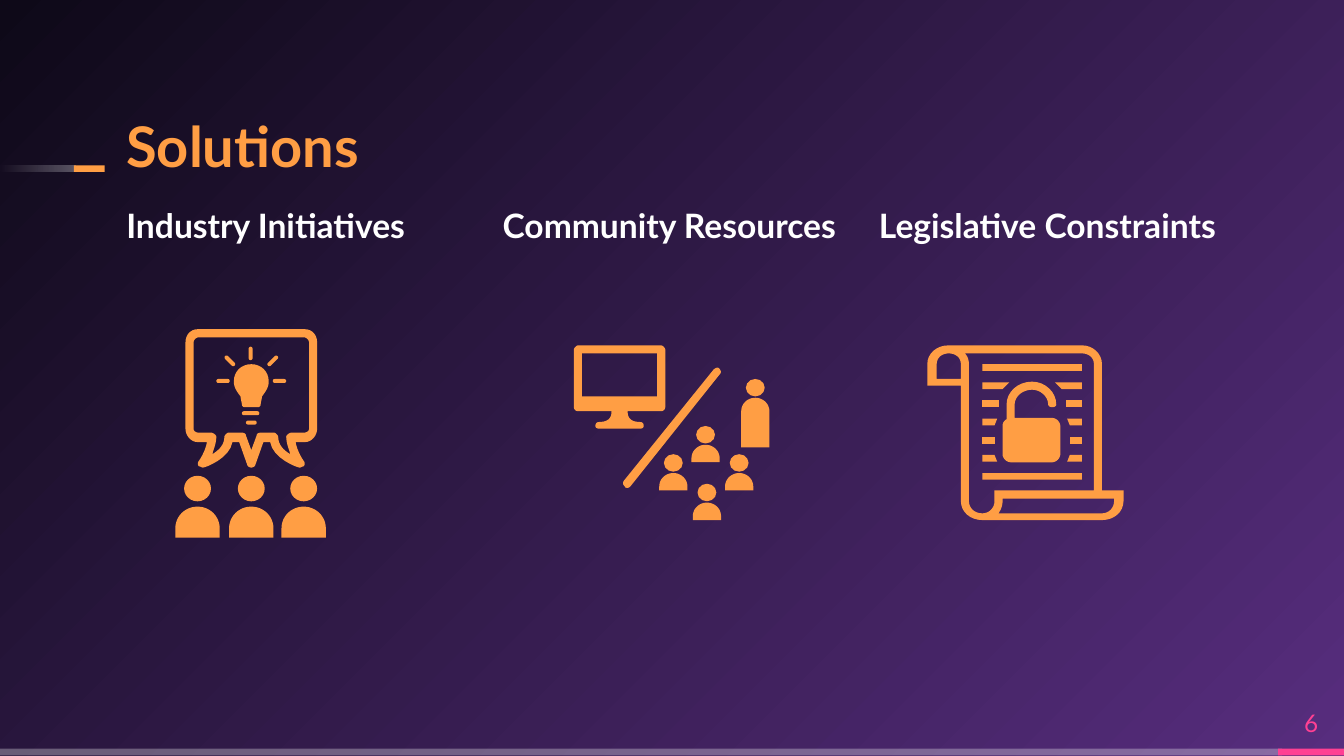
from math import cos, pi, sin

from lxml.etree import SubElement
from pptx import Presentation
from pptx.dml.color import RGBColor
from pptx.enum.shapes import MSO_SHAPE
from pptx.enum.text import MSO_ANCHOR, MSO_AUTO_SIZE, PP_ALIGN
from pptx.oxml.ns import qn
from pptx.util import Inches, Pt

COLORS = {"orange": "FF9E44", "pink": "FF4093", "white": "FFFFFF",
          "violet": "572D7E", "night": "0E0918"}
FORMATS = {
    "title": {"size": Pt(30), "bold": True, "color": "orange"},
    "heading": {"size": Pt(18), "bold": True, "color": "white"},
    "number": {"size": Pt(13), "bold": False, "color": "pink"},
}
HEADINGS = ["Industry Initiatives", "Community Resources", "Legislative Constraints"]

BUBBLE = """
M 1.87 2.45 L 1.47 2.45 C 1.42 2.45 1.38 2.49 1.38 2.55 L 1.38 3.19
C 1.38 3.24 1.42 3.29 1.47 3.29 L 1.54 3.29 C 1.53 3.36 1.48 3.43 1.48 3.43
C 1.47 3.44 1.47 3.46 1.48 3.47 C 1.49 3.47 1.5 3.48 1.51 3.48
C 1.53 3.48 1.71 3.41 1.73 3.29 L 1.78 3.29 L 1.84 3.46
C 1.84 3.47 1.86 3.48 1.87 3.48
M 1.87 2.51 L 1.48 2.51 C 1.46 2.51 1.44 2.53 1.44 2.55 L 1.44 3.19
C 1.44 3.21 1.46 3.22 1.48 3.22 L 1.57 3.22 C 1.59 3.22 1.61 3.24 1.61 3.25
C 1.61 3.3 1.59 3.34 1.58 3.38 C 1.63 3.35 1.67 3.31 1.67 3.25
C 1.67 3.24 1.69 3.22 1.7 3.22 L 1.8 3.22 C 1.82 3.22 1.83 3.23 1.83 3.24
L 1.87 3.35"""
BULB = """
M 1.87 2.71 C 1.8 2.71 1.74 2.76 1.74 2.84 C 1.74 2.88 1.76 2.91 1.79 2.95
C 1.79 2.96 1.8 3 1.8 3.01 C 1.8 3.02 1.81 3.03 1.82 3.03 L 1.87 3.03"""
MONITOR = """
M 4.61 2.57 L 4.3 2.57 C 4.29 2.57 4.27 2.59 4.27 2.6 L 4.27 3.03
C 4.27 3.05 4.29 3.06 4.3 3.06 L 4.55 3.06 C 4.55 3.08 4.55 3.14 4.46 3.14
C 4.44 3.14 4.43 3.15 4.43 3.17 C 4.43 3.18 4.44 3.19 4.46 3.19 L 4.61 3.19
M 4.61 2.63 L 4.33 2.63 L 4.33 2.95 L 4.61 2.95"""
SLASH = """
M 4.67 3.63 C 4.66 3.63 4.65 3.63 4.65 3.62 C 4.64 3.61 4.63 3.6 4.64 3.58
L 5.31 2.75 C 5.32 2.74 5.34 2.73 5.35 2.74 C 5.36 2.75 5.37 2.77 5.36 2.78
L 4.69 3.62 C 4.69 3.62 4.68 3.63 4.67 3.63"""
LOCK = """
M 7.83 3.11 L 7.55 3.11 L 7.55 3.01 C 7.55 2.95 7.61 2.9 7.68 2.9
C 7.74 2.9 7.8 2.95 7.8 3.01 C 7.8 3.02 7.81 3.03 7.83 3.03
C 7.85 3.03 7.86 3.02 7.86 3.01 C 7.86 2.92 7.78 2.84 7.68 2.84
C 7.57 2.84 7.49 2.92 7.49 3.01 L 7.49 3.12 C 7.47 3.13 7.46 3.15 7.46 3.17
L 7.46 3.38 C 7.46 3.41 7.49 3.44 7.52 3.44 L 7.83 3.44
C 7.86 3.44 7.89 3.41 7.89 3.38 L 7.89 3.17 C 7.89 3.14 7.86 3.11 7.83 3.11"""
SCROLL = """
M 8.2 3.65 L 8.2 2.71 C 8.2 2.63 8.13 2.57 8.05 2.57 L 7.06 2.57
C 6.97 2.57 6.9 2.63 6.9 2.71 L 6.9 2.87 L 7.15 2.87 L 7.15 3.73
C 7.15 3.81 7.22 3.87 7.31 3.87 L 8.2 3.87 C 8.29 3.87 8.36 3.81 8.36 3.73
L 8.36 3.65
M 6.97 2.82 L 6.97 2.71 C 6.97 2.66 7.01 2.63 7.06 2.63
C 7.11 2.63 7.15 2.66 7.15 2.71 L 7.15 2.82
M 7.4 3.73 C 7.4 3.78 7.36 3.82 7.31 3.82 C 7.25 3.82 7.21 3.78 7.21 3.73
L 7.21 2.71 C 7.21 2.68 7.2 2.65 7.18 2.63 L 8.05 2.63
C 8.1 2.63 8.14 2.66 8.14 2.71 L 8.14 3.65 L 7.4 3.65
M 8.29 3.73 C 8.29 3.78 8.25 3.82 8.2 3.82 L 7.43 3.82
C 7.45 3.79 7.46 3.76 7.46 3.73 L 7.46 3.71 L 8.29 3.71"""


def rgb(name):
    return RGBColor.from_string(COLORS[name])


def set_alpha(element, *percents):
    for clr, percent in zip(element.iter(qn("a:srgbClr")), percents):
        SubElement(clr, qn("a:alpha")).set("val", str(percent * 1000))


def set_stops(fill, *names):
    fill.gradient()
    for stop, name in zip(fill.gradient_stops, names):
        stop.color.rgb = rgb(name)


def paint(sp, color="orange"):
    sp.shadow.inherit = False
    sp.fill.solid()
    sp.fill.fore_color.rgb = rgb(color)
    sp.line.fill.background()
    return sp


def add_preset(shapes, kind, box, color="orange"):
    return paint(shapes.add_shape(kind, *map(Inches, box)), color)


def add_pill(shapes, *box, rotation=0):
    sp = add_preset(shapes, MSO_SHAPE.ROUNDED_RECTANGLE, box)
    sp.adjustments[0] = 0.5
    sp.rotation = rotation


def add_outline(shapes, contours):
    builder = None
    for contour in contours:
        points = [(Inches(x), Inches(y)) for x, y in contour]
        if builder is None:
            builder = shapes.build_freeform(*points[0])
        else:
            builder.move_to(*points[0])
        builder.add_line_segments(points[1:], close=True)
    paint(builder.convert_to_shape())


def bezier(a, b, c, d, steps=8):
    for i in range(1, steps + 1):
        t = i / steps
        u = 1 - t
        yield tuple(u**3 * p + 3 * u * u * t * q + 3 * u * t * t * r + t**3 * s
                    for p, q, r, s in zip(a, b, c, d))


def read_contours(text):
    contours, values, command = [], [], ""
    for token in text.split():
        if token in "MLC":
            command = token
            continue
        values.append(float(token))
        if len(values) < (6 if command == "C" else 2):
            continue
        points = list(zip(values[::2], values[1::2]))
        if command == "M":
            contours.append(points)
        elif command == "L":
            contours[-1] += points
        else:
            contours[-1] += bezier(contours[-1][-1], *points)
        values = []
    return contours


def mirror(points, axis):
    return [(2 * axis - x, y) for x, y in reversed(points)]


def add_symmetric(shapes, text, axis):
    add_outline(shapes, [c + mirror(c, axis) for c in read_contours(text)])


def add_person(shapes, center, top, head, gap, body, dome):
    head_w, head_h = head
    body_w, body_h = body
    add_preset(shapes, MSO_SHAPE.OVAL, (center - head_w / 2, top, head_w, head_h))
    shoulder = top + gap + dome
    bottom = top + gap + body_h
    arc = [(center - body_w / 2 * cos(pi * i / 24), shoulder - dome * sin(pi * i / 24))
           for i in range(25)]
    add_outline(shapes, [arc + [(center + body_w / 2, bottom), (center - body_w / 2, bottom)]])


def add_audience_icon(shapes):
    for center in (1.47, 1.87, 2.26):
        add_person(shapes, center, 3.54, (0.2, 0.19), 0.23, (0.33, 0.23), 0.16)
    add_symmetric(shapes, BUBBLE, 1.87)
    add_symmetric(shapes, BULB, 1.87)
    add_pill(shapes, 1.8, 3.06, 0.13, 0.03)
    add_pill(shapes, 1.83, 3.13, 0.08, 0.03)
    add_pill(shapes, 1.85, 2.58, 0.03, 0.1)
    for left, slant_left, rotation in ((1.61, 1.66, 45), (2.03, 1.98, -45)):
        add_pill(shapes, left, 2.82, 0.1, 0.03)
        add_pill(shapes, slant_left, 2.67, 0.1, 0.03, rotation=rotation)


def add_community_icon(shapes):
    for center, top in ((5.01, 3.38), (5.5, 3.38), (5.26, 3.6), (5.25, 3.17)):
        add_person(shapes, center, top, (0.14, 0.13), 0.14, (0.21, 0.13), 0.1)
    add_person(shapes, 5.62, 2.82, (0.14, 0.13), 0.14, (0.21, 0.37), 0.1)
    add_outline(shapes, read_contours(SLASH))
    add_symmetric(shapes, MONITOR, 4.61)


def add_law_icon(shapes):
    add_outline(shapes, read_contours(LOCK))
    add_outline(shapes, read_contours(SCROLL))
    for top in (2.71, 3.52):
        add_preset(shapes, MSO_SHAPE.RECTANGLE, (7.31, top, 0.74, 0.05))
    ends = [(7.51, 7.46), (7.43, 7.43), (7.42, 7.4), (7.4, 7.4), (7.4, 7.42)]
    for i, (upper, lower) in enumerate(ends, 1):
        top = 2.71 + 0.81 / 6 * i
        bar = [(7.31, top), (upper, top), (lower, top + 0.05), (7.31, top + 0.05)]
        add_outline(shapes, [bar])
        add_outline(shapes, [mirror(bar, 7.68)])


def write_text(sp, box, text, style, anchor=MSO_ANCHOR.TOP, align=PP_ALIGN.LEFT, spacing=1.0):
    sp.left, sp.top, sp.width, sp.height = map(Inches, box)
    tf = sp.text_frame
    frame = {"word_wrap": True, "auto_size": MSO_AUTO_SIZE.NONE, "vertical_anchor": anchor,
             "margin_left": 0, "margin_top": 0, "margin_right": 0, "margin_bottom": 0}
    for name, value in frame.items():
        setattr(tf, name, value)
    p = tf.paragraphs[0]
    p.alignment, p.line_spacing = align, spacing
    r = p.add_run()
    r.text = text
    fmt = FORMATS[style]
    for name, value in {"name": "Lato", "size": fmt["size"], "bold": fmt["bold"]}.items():
        setattr(r.font, name, value)
    r.font.color.rgb = rgb(fmt["color"])


def add_background(s):
    set_stops(s.background.fill, "violet", "night")
    grad = next(s.element.iter(qn("a:gradFill")))
    grad.remove(grad.find(qn("a:lin")))
    radial = SubElement(grad, qn("a:path"), path="circle")
    SubElement(radial, qn("a:fillToRect"), l="100000", t="100000")


def add_decor(shapes):
    rect = MSO_SHAPE.RECTANGLE
    set_alpha(add_preset(shapes, rect, (0, 5.57, 9.54, 0.05), "white").element, 30)
    add_preset(shapes, rect, (9.51, 5.57, 0.49, 0.05), "pink")
    fade = add_preset(shapes, rect, (0, 1.23, 0.56, 0.05))
    set_stops(fade.fill, "white", "white")
    fade.fill.gradient_angle = 180
    set_alpha(fade.element, 30, 0)
    add_preset(shapes, rect, (0.55, 1.23, 0.23, 0.05))


def main():
    prs = Presentation()
    prs.slide_width, prs.slide_height = Inches(10), Inches(10 * 9 / 16)
    s = prs.slides.add_slide(prs.slide_layouts[5])
    add_background(s)
    add_decor(s.shapes)
    write_text(s.shapes.title, (0.94, 0.91, 8.13, 0.43), "Solutions", "title",
               anchor=MSO_ANCHOR.BOTTOM, spacing=0.9)
    for i, heading in enumerate(HEADINGS):
        write_text(s.shapes.add_textbox(0, 0, 0, 0), (0.94 + 2.8 * i, 1.48, 2.53, 3.74),
                   heading, "heading", spacing=1.15)
    write_text(s.shapes.add_textbox(0, 0, 0, 0), (9.51, 5.19, 0.49, 0.38), "6", "number",
               anchor=MSO_ANCHOR.MIDDLE, align=PP_ALIGN.CENTER)
    for add_icon in (add_law_icon, add_community_icon, add_audience_icon):
        add_icon(s.shapes.add_group_shape().shapes)
    prs.save("out.pptx")


if __name__ == "__main__":
    main()
